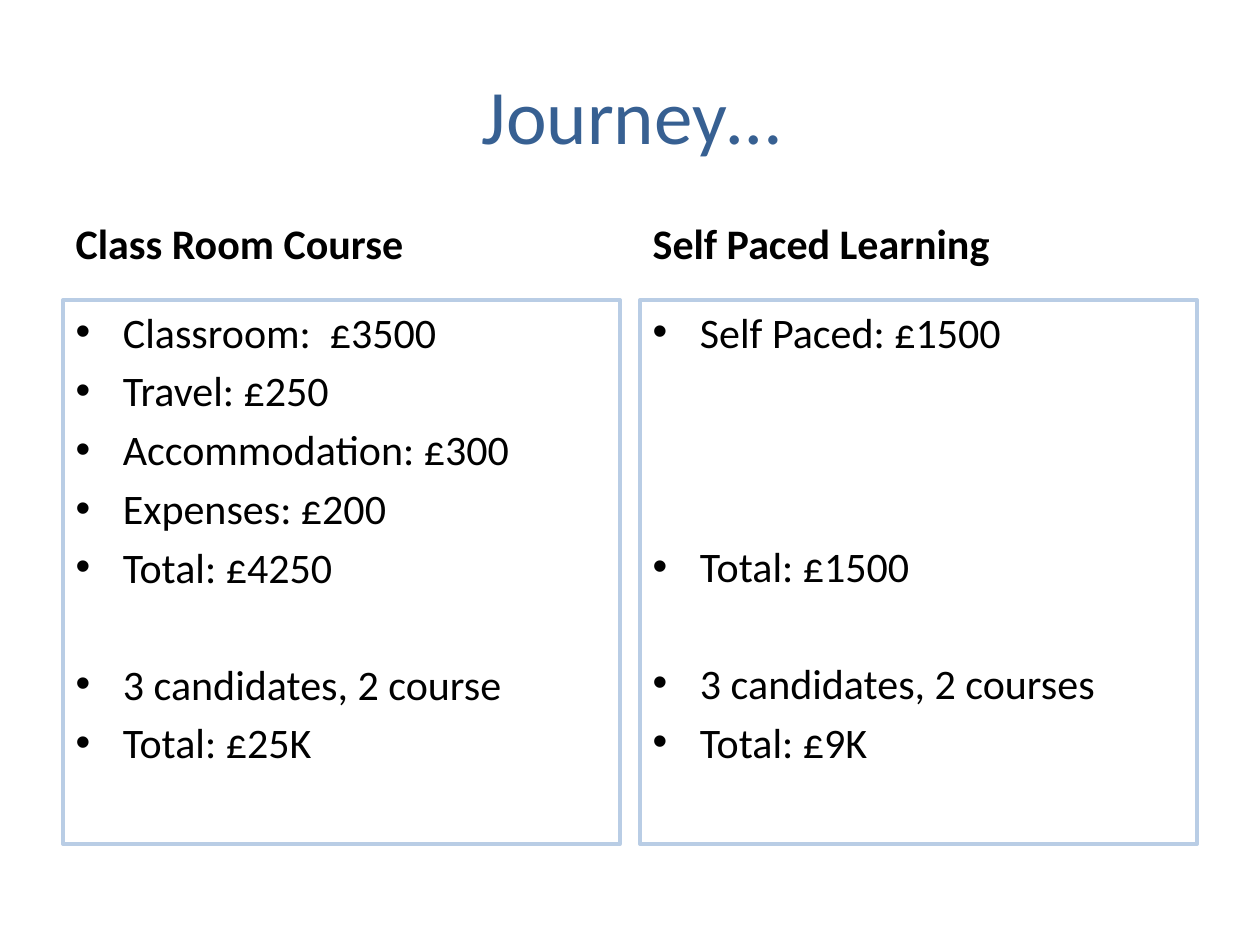
from pptx import Presentation
from pptx.dml.color import RGBColor
from pptx.enum.text import MSO_ANCHOR, MSO_AUTO_SIZE, PP_ALIGN
from pptx.util import Inches, Pt

TITLE_BLUE = RGBColor(0x37, 0x60, 0x92)
BORDER_BLUE = RGBColor(0xB9, 0xCD, 0xE5)
WHITE = RGBColor(0xFF, 0xFF, 0xFF)
BLACK = RGBColor(0, 0, 0)

COLUMN_WIDTH = 4.42
LINE_PITCH = 33.6
NORMAL_GAP = 4.3

# Each list item: text and the number of lines left free above it
COLUMNS = [
    (0.5, "Class Room Course", [
        ("Classroom:  £3500", 0),
        ("Travel: £250", 0),
        ("Accommodation: £300", 0),
        ("Expenses: £200", 0),
        ("Total: £4250", 0),
        ("3 candidates, 2 course", 1),
        ("Total: £25K", 0),
    ]),
    (5.08, "Self Paced Learning", [
        ("Self Paced: £1500", 0),
        ("Total: £1500", 3),
        ("3 candidates, 2 courses", 1),
        ("Total: £9K", 0),
    ]),
]


def place(shape, left, top, width, height, anchor):
    shape.left, shape.top = Inches(left), Inches(top)
    shape.width, shape.height = Inches(width), Inches(height)
    shape.text_frame.word_wrap = True
    shape.text_frame.auto_size = MSO_AUTO_SIZE.NONE
    shape.text_frame.vertical_anchor = anchor


def add_text(paragraph, text, size, color, bold=False):
    run = paragraph.add_run()
    run.text = text
    run.font.name = "Calibri"
    run.font.size = Pt(size)
    run.font.bold = bold
    run.font.color.rgb = color


presentation = Presentation()
presentation.slide_width = Inches(10)
presentation.slide_height = Inches(7.5)
comparison_layout = presentation.slide_layouts.get_by_name("Comparison")
slide = presentation.slides.add_slide(comparison_layout)

# Title
title = slide.shapes.title
place(title, 0.51, 0.28, 9, 1.25, MSO_ANCHOR.MIDDLE)
title_paragraph = title.text_frame.paragraphs[0]
title_paragraph.alignment = PP_ALIGN.CENTER
add_text(title_paragraph, "Journey…", 44, TITLE_BLUE)

# Two columns, each with a heading above a framed list
for index, (left, heading_text, items) in enumerate(COLUMNS):
    heading = slide.placeholders[1 + 2 * index]
    place(heading, left, 1.47, COLUMN_WIDTH, 0.71, MSO_ANCHOR.BOTTOM)
    add_text(heading.text_frame.paragraphs[0], heading_text, 24, BLACK, bold=True)

    cost_list = slide.placeholders[2 + 2 * index]
    place(cost_list, left, 2.38, COLUMN_WIDTH, 4.32, MSO_ANCHOR.TOP)
    cost_list.fill.solid()
    cost_list.fill.fore_color.rgb = WHITE
    cost_list.line.color.rgb = BORDER_BLUE
    cost_list.line.width = Pt(2)

    frame = cost_list.text_frame
    for number, (text, free_lines) in enumerate(items):
        paragraph = frame.add_paragraph() if number else frame.paragraphs[0]
        if free_lines:
            paragraph.space_before = Pt(NORMAL_GAP + free_lines * LINE_PITCH)
        add_text(paragraph, text, 24, BLACK)

presentation.save("out.pptx")
